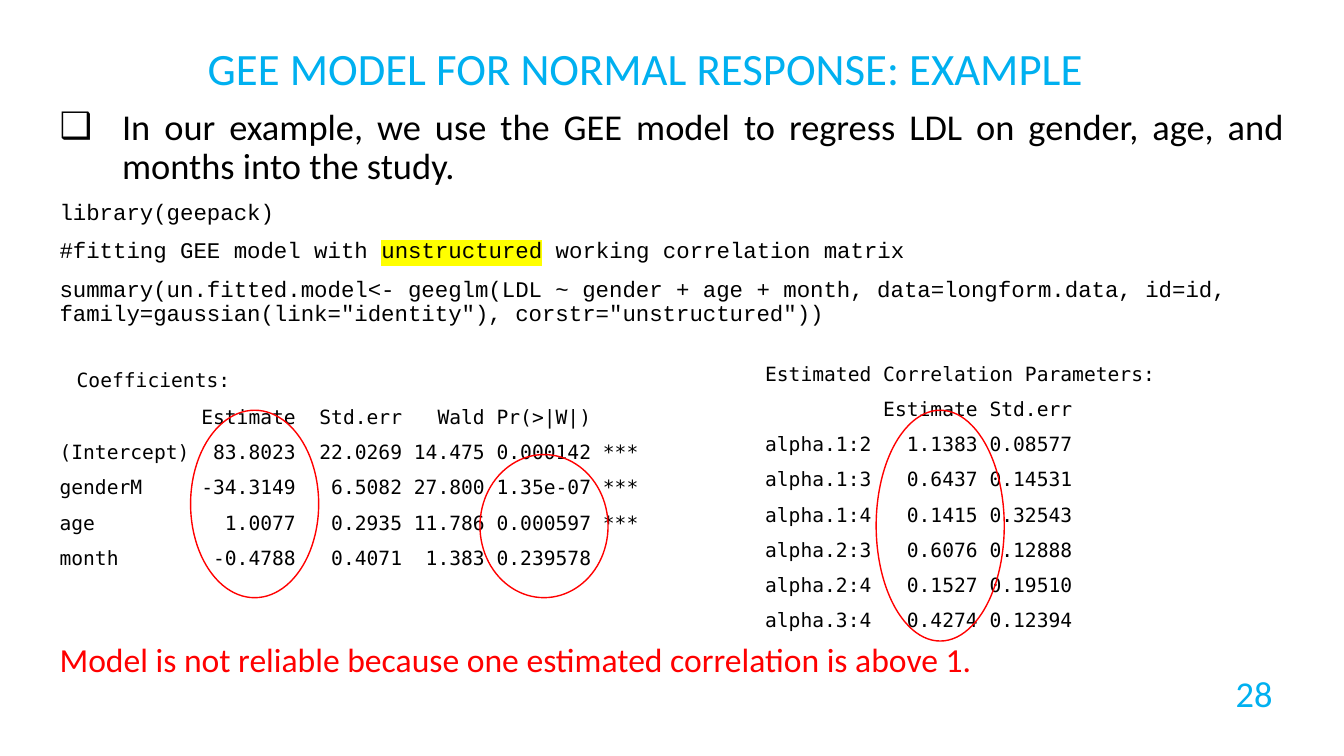
from lxml.etree import SubElement
from pptx import Presentation
from pptx.dml.color import RGBColor
from pptx.enum.shapes import MSO_SHAPE
from pptx.enum.text import MSO_ANCHOR, MSO_AUTO_SIZE, PP_ALIGN
from pptx.oxml.ns import qn
from pptx.util import Inches, Pt

COLORS = {"heading": "00B0F0", "text": "000000", "alert": "FF0000", "marker": "FFFF00"}
TEXT_FONT, CODE_FONT, OUTPUT_FONT = "Calibri", "Courier New", "DejaVu Sans Mono"

COEFFICIENTS = [
    "            Estimate  Std.err   Wald Pr(>|W|)",
    "(Intercept)  83.8023  22.0269 14.475 0.000142 ***",
    "genderM     -34.3149   6.5082 27.800 1.35e-07 ***",
    "age           1.0077   0.2935 11.786 0.000597 ***",
    "month        -0.4788   0.4071  1.383 0.239578",
]
CORRELATIONS = [
    "Estimated Correlation Parameters:",
    "          Estimate Std.err",
    "alpha.1:2   1.1383 0.08577",
    "alpha.1:3   0.6437 0.14531",
    "alpha.1:4   0.1415 0.32543",
    "alpha.2:3   0.6076 0.12888",
    "alpha.2:4   0.1527 0.19510",
    "alpha.3:4   0.4274 0.12394",
]


class SlideBuilder:
    """Places styled elements on one page; every area is left, top, width, height in percent."""

    def __init__(self, deck):
        self.deck = deck
        self.page = deck.slides.add_slide(deck.slide_layouts[1])

    def area(self, left, top, width, height):
        across, down = self.deck.slide_width / 100, self.deck.slide_height / 100
        return int(left * across), int(top * down), int(width * across), int(height * down)

    def placeholder(self, index, area, anchor):
        box = self.page.placeholders[index]
        box.left, box.top, box.width, box.height = self.area(*area)
        return self.prepare(box, anchor)

    def textbox(self, area, anchor=MSO_ANCHOR.TOP):
        return self.prepare(self.page.shapes.add_textbox(*self.area(*area)), anchor)

    def prepare(self, box, anchor):
        frame = box.text_frame
        frame.word_wrap = True
        frame.auto_size = MSO_AUTO_SIZE.NONE
        frame.vertical_anchor = anchor
        return frame

    def paragraph(self, frame, text, size, font, color="text", before=0, spacing=1.0,
                  align=PP_ALIGN.LEFT, bullet=None, hanging=0, indent=0, marked=None):
        """Add a paragraph, using the first one while it is empty; highlight the marked word."""
        first = frame.paragraphs[0]
        para = first if not first.text else frame.add_paragraph()
        para.alignment, para.line_spacing = align, spacing
        para.space_before = Pt(before)
        properties = para._p.get_or_add_pPr()
        properties.set("marL", str(Inches(hanging)))
        properties.set("indent", str(Inches(indent - hanging)))
        if bullet:
            SubElement(properties, qn("a:buChar")).set("char", bullet)
        else:
            SubElement(properties, qn("a:buNone"))
        if marked:
            start, end = text.split(marked)
            para.text = start
            para.add_run().text = marked
            para.add_run().text = end
        else:
            para.text = text
        for span in para.runs:
            span.font.size, span.font.name = Pt(size), font
            span.font.color.rgb = RGBColor.from_string(COLORS[color])
            if span.text == marked:
                self.highlight(span)

    def highlight(self, span):
        properties = span.font._element
        marker = SubElement(properties, qn("a:highlight"))
        SubElement(marker, qn("a:srgbClr")).set("val", COLORS["marker"])
        properties.find(qn("a:latin")).addprevious(marker)

    def ring(self, left, top, height):
        """Circle a column of results in the alert colour."""
        oval = self.page.shapes.add_shape(MSO_SHAPE.OVAL, *self.area(left, top, 9.53, height))
        oval.shadow.inherit = False
        oval.fill.background()
        oval.line.color.rgb = RGBColor.from_string(COLORS["alert"])
        oval.line.width = Pt(1)


def main():
    deck = Presentation()
    deck.slide_width, deck.slide_height = Inches(13.33), Inches(7.5)
    slide = SlideBuilder(deck)

    title = slide.placeholder(0, (14.7, 4.93, 69.09, 8.27), MSO_ANCHOR.BOTTOM)
    slide.paragraph(title, "GEE MODEL FOR NORMAL RESPONSE: EXAMPLE", 32, TEXT_FONT, "heading")

    body = slide.placeholder(1, (3.68, 13.73, 92.72, 72.53), MSO_ANCHOR.TOP)
    slide.paragraph(
        body, "In our example, we use the GEE model to regress LDL on gender, age, and "
        "months into the study.", 26, TEXT_FONT, spacing=0.9,
        align=PP_ALIGN.JUSTIFY, bullet="❑", hanging=0.62)
    code = {"size": 16, "font": CODE_FONT, "before": 10, "spacing": 0.9}
    slide.paragraph(body, "library(geepack)", **code)
    slide.paragraph(body, "#fitting GEE model with unstructured working correlation matrix",
                    marked="unstructured", **code)
    slide.paragraph(
        body, "summary(un.fitted.model<- geeglm(LDL ~ gender + age + month, "
        'data=longform.data, id=id, family=gaussian(link="identity"), '
        'corstr="unstructured"))', **code)
    slide.paragraph(body, "Coefficients:", 14, OUTPUT_FONT, before=32, spacing=0.9, indent=0.17)
    for number, row in enumerate(COEFFICIENTS):
        slide.paragraph(body, row, 14, OUTPUT_FONT, before=10 if number else 11, spacing=0.9)
    slide.paragraph(body, "Model is not reliable because one estimated correlation is above 1.",
                    24, TEXT_FONT, "alert", before=53, spacing=0.9)

    page_number = slide.textbox((89.8, 88.93, 5.63, 5.33), MSO_ANCHOR.MIDDLE)
    slide.paragraph(page_number, "28", 26, TEXT_FONT, "heading", align=PP_ALIGN.RIGHT)

    correlations = slide.textbox((56.19, 45.6, 31.21, 38.53))
    for row in CORRELATIONS:
        slide.paragraph(correlations, row, 14, OUTPUT_FONT, spacing=1.5)

    for left, top, height in [(65.19, 54.27, 30.53), (35.71, 60.13, 18.93), (14.18, 54.27, 24.8)]:
        slide.ring(left, top, height)

    deck.save("out.pptx")


if __name__ == "__main__":
    main()
